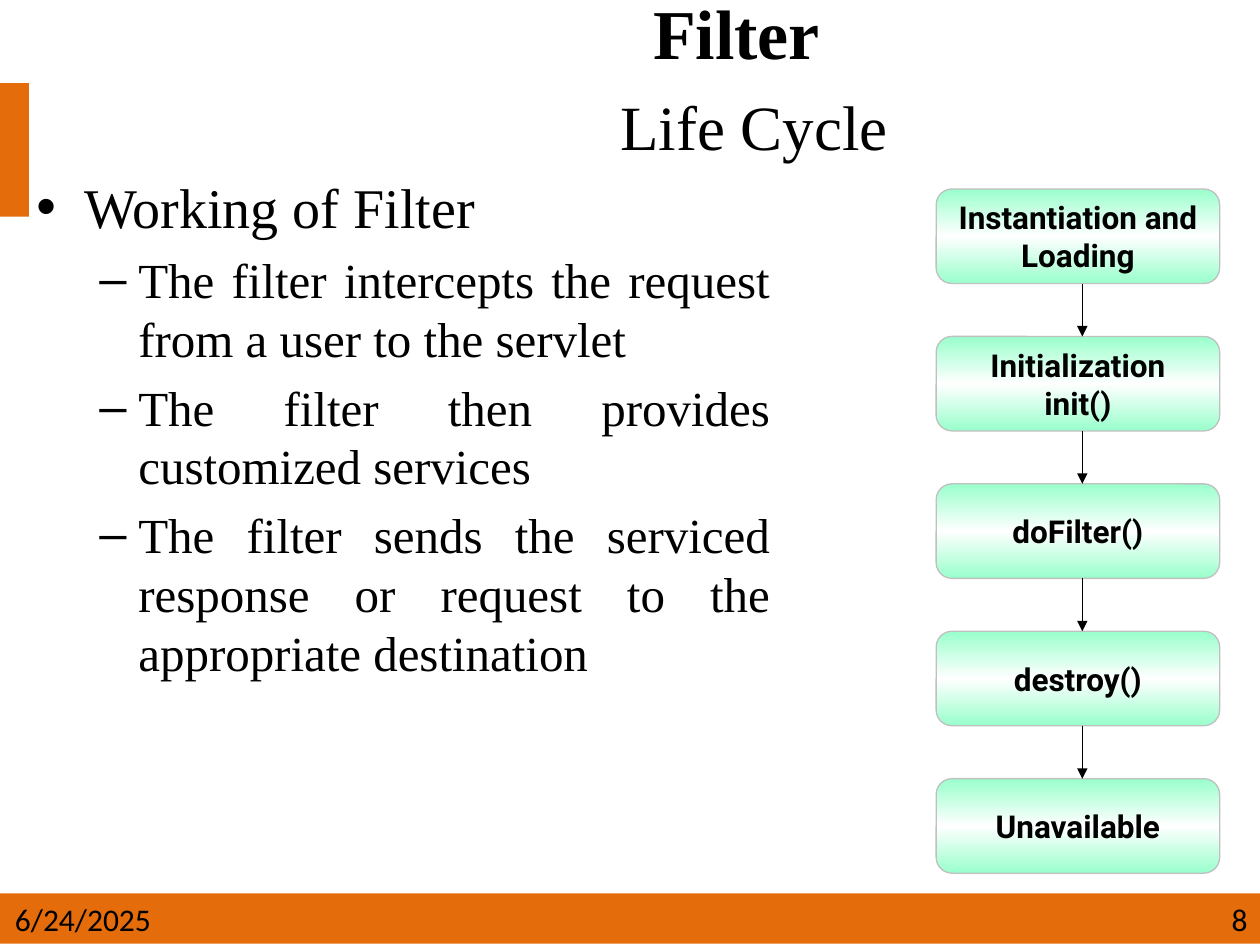
from copy import deepcopy
from dataclasses import dataclass

from lxml.etree import SubElement
from pptx import Presentation
from pptx.dml.color import RGBColor
from pptx.enum.shapes import MSO_CONNECTOR, MSO_SHAPE
from pptx.enum.text import MSO_ANCHOR, PP_ALIGN
from pptx.oxml.ns import qn
from pptx.util import Inches, Pt

COLORS = {"accent": "E46C0A", "text": "000000", "mint": "99FFCC",
          "white": "FFFFFF", "outline": "C0C0C0"}
SERIF = "Times New Roman"
STEP_LEFT, STEP_TOP, STEP_WIDTH, STEP_HEIGHT, STEP_PITCH = 7.43, 1.5, 2.25, 0.75, 1.17
ARROW_X = 8.59
STEPS = ["Instantiation and Loading", "Initialization init()", "doFilter()",
         "destroy()", "Unavailable"]


@dataclass
class Bullet:
    text: str
    level: int = 1


@dataclass
class BulletStyle:
    symbol: str
    size: int
    left: float
    hanging: float


BULLET_STYLES = [BulletStyle("•", 32, 0.38, 0.38), BulletStyle("–", 28, 0.81, 0.31)]
BULLETS = [
    Bullet("Working of Filter", level=0),
    Bullet("The filter intercepts the request from a user to the servlet"),
    Bullet("The filter then provides customized services"),
    Bullet("The filter sends the serviced response or request to the appropriate destination"),
]


def color(name: str) -> RGBColor:
    return RGBColor.from_string(COLORS[name])


def add_run(paragraph, text: str, *, font: str, size: float, bold: bool = False) -> None:
    run = paragraph.add_run()
    run.text = text
    run.font.name = font
    run.font.size = Pt(size)
    run.font.bold = bold
    run.font.color.rgb = color("text")


def add_text_box(slide, left: float, top: float, width: float, height: float,
                 anchor=MSO_ANCHOR.TOP):
    box = slide.shapes.add_textbox(Inches(left), Inches(top), Inches(width), Inches(height))
    frame = box.text_frame
    frame.word_wrap = True
    frame.vertical_anchor = anchor
    return frame


def add_bar(slide, left: float, top: float, width: float, height: float) -> None:
    bar = slide.shapes.add_shape(MSO_SHAPE.RECTANGLE, Inches(left), Inches(top),
                                 Inches(width), Inches(height))
    bar.shadow.inherit = False
    bar.fill.solid()
    bar.fill.fore_color.rgb = color("accent")
    bar.line.fill.background()


def add_title(slide) -> None:
    frame = add_text_box(slide, 1.82, 0, 8.18, 1.24, MSO_ANCHOR.MIDDLE)
    paragraph = frame.paragraphs[0]
    paragraph.alignment = PP_ALIGN.CENTER
    add_run(paragraph, "Filter ", font=SERIF, size=40, bold=True)
    paragraph.add_line_break()
    add_run(paragraph, " ", font=SERIF, size=44, bold=True)
    add_run(paragraph, "Life Cycle", font=SERIF, size=36)


def add_bullets(slide) -> None:
    frame = add_text_box(slide, 0.19, 1.24, 6.02, 4.24)
    frame.margin_top = Inches(0.13)
    for index, bullet in enumerate(BULLETS):
        style = BULLET_STYLES[bullet.level]
        paragraph = frame.add_paragraph() if index else frame.paragraphs[0]
        paragraph.level = bullet.level
        paragraph.alignment = PP_ALIGN.JUSTIFY
        if index:
            paragraph.space_before = Pt(style.size * 0.2)
        properties = paragraph._p.get_or_add_pPr()
        properties.set("marL", str(Inches(style.left)))
        properties.set("indent", str(-Inches(style.hanging)))
        SubElement(properties, qn("a:buFont"), typeface="Arial")
        SubElement(properties, qn("a:buChar"), char=style.symbol)
        add_run(paragraph, bullet.text, font=SERIF, size=style.size)


def fill_with_gradient(shape, names: list[str]) -> None:
    """Fill from top to bottom with three evenly spaced colours."""
    shape.fill.gradient()
    shape.fill.gradient_angle = 90
    stop_list = shape._element.spPr.find(qn("a:gradFill")).find(qn("a:gsLst"))
    stop_list.insert(1, deepcopy(stop_list[0]))
    for index, (stop, name) in enumerate(zip(shape.fill.gradient_stops, names)):
        stop.position = index / 2
        stop.color.rgb = color(name)


def add_step(slide, text: str, top: float) -> None:
    step = slide.shapes.add_shape(MSO_SHAPE.ROUNDED_RECTANGLE, Inches(STEP_LEFT), Inches(top),
                                  Inches(STEP_WIDTH), Inches(STEP_HEIGHT))
    step.shadow.inherit = False
    fill_with_gradient(step, ["mint", "white", "mint"])
    step.line.color.rgb = color("outline")
    step.line.width = Pt(0.75)
    frame = step.text_frame
    frame.word_wrap = True
    frame.vertical_anchor = MSO_ANCHOR.MIDDLE
    frame.margin_left = frame.margin_right = Inches(0.11)
    paragraph = frame.paragraphs[0]
    paragraph.alignment = PP_ALIGN.CENTER
    add_run(paragraph, text, font="Roboto", size=18, bold=True)


def add_arrow(slide, top: float, bottom: float) -> None:
    arrow = slide.shapes.add_connector(MSO_CONNECTOR.STRAIGHT, Inches(ARROW_X), Inches(top),
                                       Inches(ARROW_X), Inches(bottom))
    arrow.line.color.rgb = color("text")
    arrow.line.width = Pt(0.75)
    SubElement(arrow.line._get_or_add_ln(), qn("a:tailEnd"), type="triangle")
    SubElement(arrow._element.spPr, qn("a:effectLst"))


def add_footer_text(slide, text: str, left: float, width: float, alignment) -> None:
    paragraph = add_text_box(slide, left, 7.09, width, 0.4).paragraphs[0]
    paragraph.alignment = alignment
    add_run(paragraph, text, font="Calibri", size=18)


def main() -> None:
    presentation = Presentation()
    presentation.slide_width = Inches(10)
    presentation.slide_height = Inches(7.5)
    slide = presentation.slides.add_slide(presentation.slide_layouts[6])

    add_bar(slide, 0, 7.09, 10, 0.4)
    add_bar(slide, 0, 0.66, 0.23, 1.06)
    add_title(slide)
    add_bullets(slide)
    for index, text in enumerate(STEPS):
        top = STEP_TOP + index * STEP_PITCH
        add_step(slide, text, top)
        if index:
            add_arrow(slide, top - STEP_PITCH + STEP_HEIGHT, top)
    add_footer_text(slide, "6/24/2025", 0.02, 1.52, PP_ALIGN.LEFT)
    add_footer_text(slide, "8", 7, 3, PP_ALIGN.RIGHT)
    presentation.save("out.pptx")


if __name__ == "__main__":
    main()
